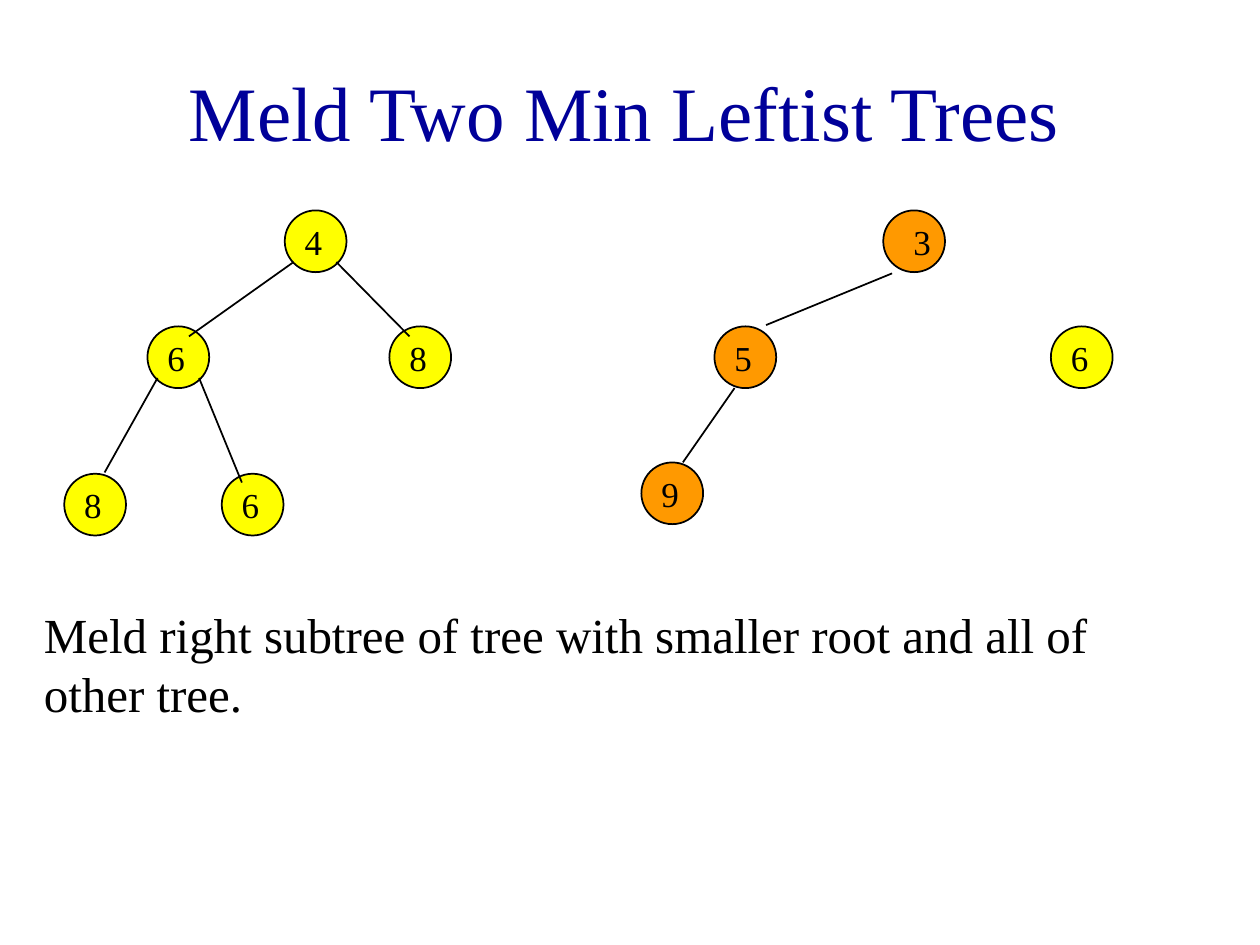
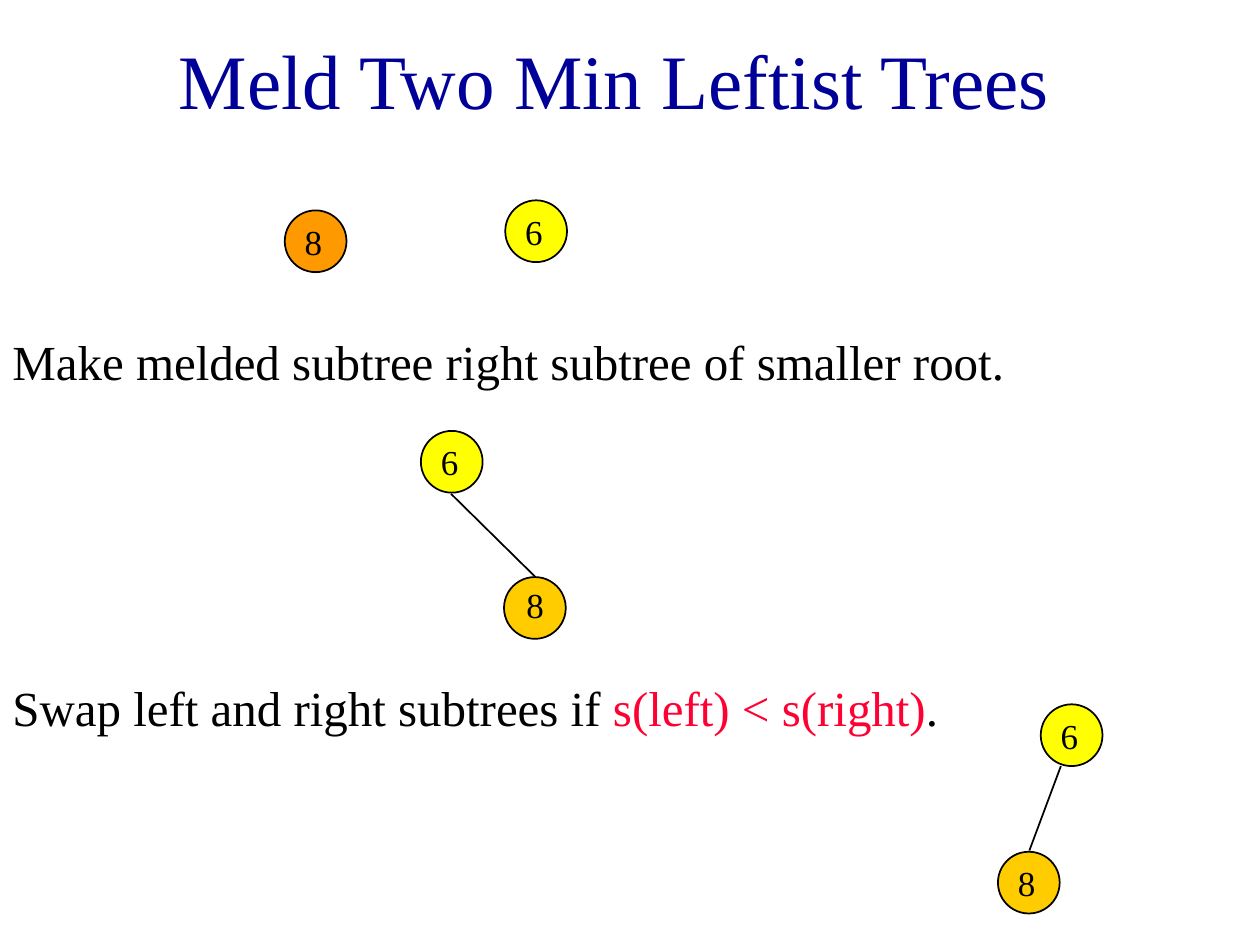
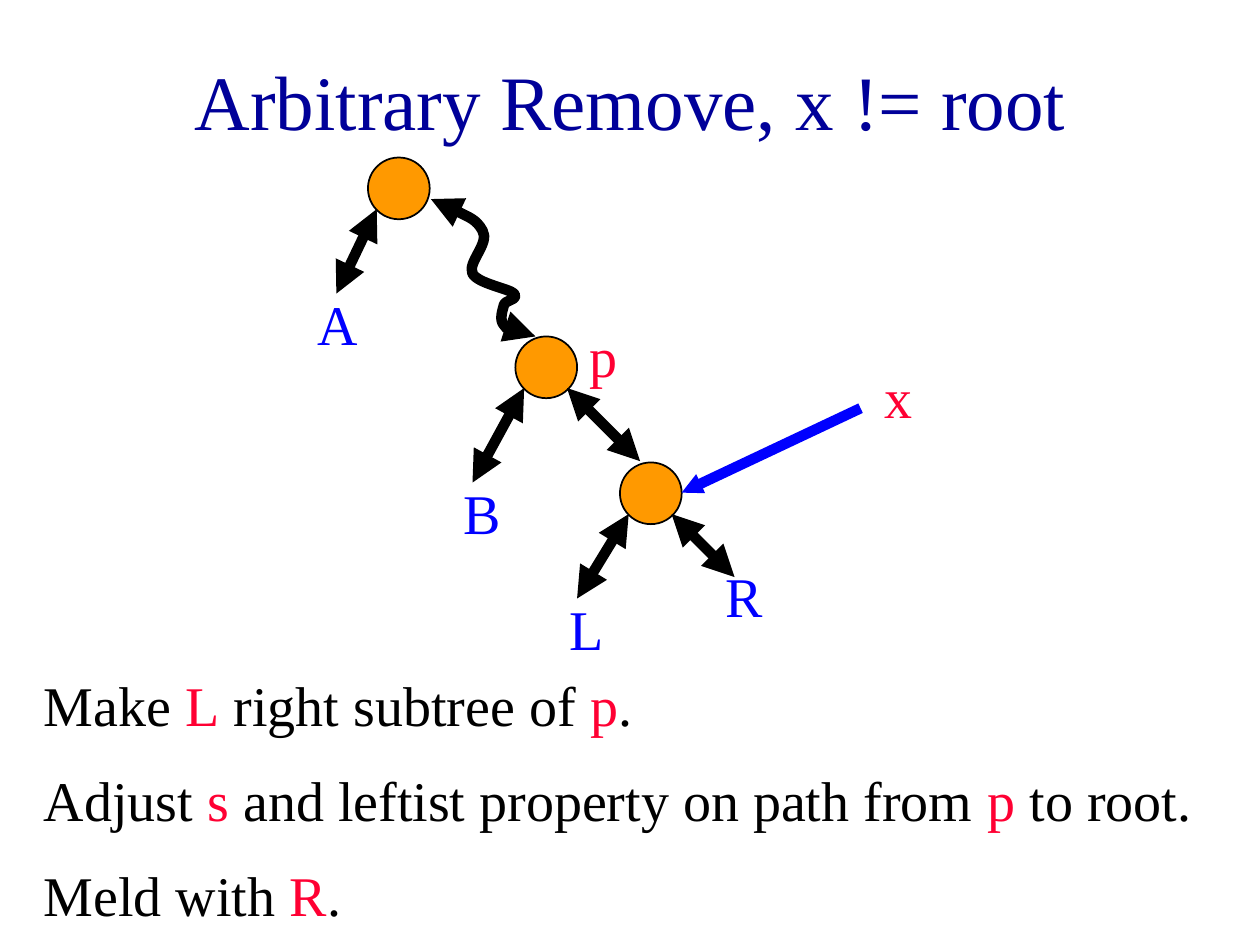
"""Build three slides about melding and removing in leftist trees."""
from dataclasses import dataclass

from lxml import etree
from pptx import Presentation
from pptx.dml.color import RGBColor
from pptx.enum.shapes import MSO_CONNECTOR, MSO_SHAPE
from pptx.enum.text import MSO_ANCHOR, MSO_AUTO_SIZE, PP_ALIGN
from pptx.oxml.ns import qn
from pptx.util import Emu, Pt

STRAIGHT = MSO_CONNECTOR.STRAIGHT
ELLIPSE = MSO_SHAPE.OVAL
MIDDLE = MSO_ANCHOR.MIDDLE
CENTER = PP_ALIGN.CENTER
FIXED = MSO_AUTO_SIZE.NONE
GROW = MSO_AUTO_SIZE.SHAPE_TO_FIT_TEXT

SCALE = 9144
FONT = "Times New Roman"
DIAMETER = 49
TITLE_ONLY = 5
COLORS = {
    "navy": "000099",
    "black": "000000",
    "yellow": "FFFF00",
    "orange": "FF9900",
    "amber": "FFCC00",
    "red": "FF0033",
    "blue": "0000FF",
}


@dataclass
class Node:
    left: int
    top: int
    fill: str
    label: str = ""
    label_dx: int = 6
    label_dy: int = 3


@dataclass
class Edge:
    start: tuple[int, int]
    end: tuple[int, int]
    color: str = "black"
    weight: int = 1
    head: str = ""
    tail: str = ""


@dataclass
class Text:
    frame: tuple[int, int, int, int]
    lines: list[str]
    size: int
    color: str = "black"
    wrap: bool = True


@dataclass
class Page:
    title: str
    title_frame: tuple[int, int, int, int]
    nodes: list[Node]
    edges: list[Edge]
    texts: list[Text]


def px(length: int) -> Emu:
    return Emu(length * SCALE)


def rgb(name: str) -> RGBColor:
    return RGBColor.from_string(COLORS[name])


def style_font(font, size: int, color: str) -> None:
    font.name = FONT
    font.size = Pt(size)
    font.color.rgb = rgb(color)


def style_line(shape, color: str, weight: int, head: str = "", tail: str = "") -> None:
    shape.line.color.rgb = rgb(color)
    shape.line.width = Pt(weight)
    outline = shape.element.spPr.find(qn("a:ln"))
    for tag, arrow_size in (("a:headEnd", head), ("a:tailEnd", tail)):
        if arrow_size:
            etree.SubElement(outline, qn(tag), type="triangle", w=arrow_size, len=arrow_size)


def add_title(slide, page: Page) -> None:
    title = slide.shapes.title
    title.left, title.top, title.width, title.height = map(px, page.title_frame)
    frame = title.text_frame
    frame.text = page.title
    frame.auto_size = FIXED
    frame.vertical_anchor = MIDDLE
    frame.paragraphs[0].alignment = CENTER
    style_font(frame.paragraphs[0].runs[0].font, 44, "navy")


def add_text(slide, text: Text) -> None:
    """Write lines in which asterisks enclose the red spans."""
    frame = slide.shapes.add_textbox(*map(px, text.frame)).text_frame
    frame.word_wrap = text.wrap
    frame.auto_size = GROW
    for number, line in enumerate(text.lines):
        para = frame.add_paragraph() if number else frame.paragraphs[0]
        para.space_before = Pt(text.size // 2 if number else 0)
        for position, piece in enumerate(line.split("*")):
            span = para.add_run()
            span.text = piece
            style_font(span.font, text.size, "red" if position % 2 else text.color)


def add_node(slide, node: Node) -> None:
    circle = slide.shapes.add_shape(
        ELLIPSE, px(node.left), px(node.top), px(DIAMETER), px(DIAMETER)
    )
    circle.shadow.inherit = False
    circle.fill.solid()
    circle.fill.fore_color.rgb = rgb(node.fill)
    style_line(circle, "black", 1)
    if node.label:
        frame = (node.left + node.label_dx, node.top + node.label_dy, 34, 43)
        add_text(slide, Text(frame, [node.label], 20, wrap=False))


def add_edge(slide, edge: Edge) -> None:
    connector = slide.shapes.add_connector(
        STRAIGHT, *map(px, edge.start), *map(px, edge.end)
    )
    style_line(connector, edge.color, edge.weight, edge.head, edge.tail)
    etree.SubElement(connector.element.spPr, qn("a:effectLst"))


def add_curve(slide, start: tuple[int, int], bends: list) -> None:
    """Draw a two-headed curve whose bends are two controls and an end."""
    builder = slide.shapes.build_freeform(*start, scale=SCALE)
    builder.add_line_segments([bend[-1] for bend in bends], close=False)
    curve = builder.convert_to_shape()
    curve.shadow.inherit = False
    curve.fill.background()
    style_line(curve, "black", 6, "med", "med")
    segments = list(curve.element.iter(qn("a:lnTo")))
    for segment, bend in zip(segments, bends):
        segment.tag = qn("a:cubicBezTo")
        segment.clear()
        for x, y in bend:
            etree.SubElement(segment, qn("a:pt"), x=str(x - start[0]), y=str(y - start[1]))


def two_way(start: tuple[int, int], end: tuple[int, int]) -> Edge:
    return Edge(start, end, weight=6, head="med", tail="med")


def letter(left: int, top: int, label: str, color: str) -> Text:
    return Text((left, top, 42, 63), [label], 32, color)


PATH_START = (342, 158)
PATH_BENDS = [
    ((360, 166), (378, 174), (383, 183)),
    ((389, 193), (371, 208), (375, 217)),
    ((379, 225), (404, 229), (408, 233)),
    ((412, 238), (401, 238), (400, 242)),
    ((399, 246), (396, 254), (400, 258)),
    ((404, 263), (421, 265), (425, 267)),
]

MELD_ROOTS = Page(
    "Meld Two Min Leftist Trees",
    (8, 25, 975, 125),
    [
        Node(226, 167, "yellow", "4"),
        Node(117, 259, "yellow", "6"),
        Node(309, 259, "yellow", "8"),
        Node(51, 376, "yellow", "8"),
        Node(176, 376, "yellow", "6"),
        Node(701, 167, "orange", "3", label_dx=14),
        Node(567, 259, "orange", "5"),
        Node(509, 367, "orange", "9"),
        Node(834, 259, "yellow", "6"),
    ],
    [
        Edge((233, 208), (150, 267)),
        Edge((267, 208), (325, 267)),
        Edge((125, 300), (83, 375)),
        Edge((158, 300), (192, 383)),
        Edge((708, 217), (608, 258)),
        Edge((583, 308), (542, 367)),
    ],
    [
        Text(
            (25, 475, 875, 103),
            ["Meld right subtree of tree with smaller root and all of other tree."],
            28,
        )
    ],
)

MELD_SUBTREES = Page(
    "Meld Two Min Leftist Trees",
    (0, 0, 975, 125),
    [
        Node(226, 167, "orange", "8"),
        Node(401, 159, "yellow", "6"),
        Node(334, 342, "yellow", "6"),
        Node(400, 458, "amber", "8", label_dx=8, label_dy=0),
        Node(826, 559, "yellow", "6"),
        Node(792, 676, "amber", "8"),
    ],
    [Edge((358, 392), (425, 458)), Edge((842, 608), (817, 675))],
    [
        Text((0, 258, 875, 57), ["Make melded subtree right subtree of smaller root."], 28),
        Text(
            (0, 533, 817, 57),
            ["Swap left and right subtrees if *s(left) < s(right)*."],
            28,
        ),
    ],
)

ARBITRARY_REMOVE = Page(
    "Arbitrary Remove, x != root",
    (17, 25, 967, 108),
    [Node(292, 125, "orange"), Node(409, 267, "orange"), Node(492, 367, "orange")],
    [
        two_way((299, 166), (267, 233)),
        two_way((416, 308), (375, 383)),
        two_way((450, 308), (508, 366)),
        two_way((499, 408), (458, 475)),
        two_way((533, 408), (583, 458)),
        Edge((683, 324), (541, 391), "blue", 6, tail="sm"),
    ],
    [
        letter(242, 225, "A", "blue"),
        letter(358, 375, "B", "blue"),
        letter(442, 467, "L", "blue"),
        letter(566, 441, "R", "blue"),
        letter(458, 250, "p", "red"),
        letter(692, 283, "x", "red"),
        Text(
            (25, 527, 950, 223),
            [
                "Make *L* right subtree of *p*.",
                "Adjust *s* and leftist property on path from *p* to root.",
                "Meld with *R*.",
            ],
            32,
        ),
    ],
)


def add_page(deck, page: Page):
    slide = deck.slides.add_slide(deck.slide_layouts[TITLE_ONLY])
    add_title(slide, page)
    for node in page.nodes:
        add_node(slide, node)
    for edge in page.edges:
        add_edge(slide, edge)
    for text in page.texts:
        add_text(slide, text)
    return slide


def main() -> None:
    deck = Presentation()
    deck.slide_width, deck.slide_height = px(1000), px(750)
    add_page(deck, MELD_ROOTS)
    add_page(deck, MELD_SUBTREES)
    remove_slide = add_page(deck, ARBITRARY_REMOVE)
    add_curve(remove_slide, PATH_START, PATH_BENDS)
    deck.save("out.pptx")


if __name__ == "__main__":
    main()
